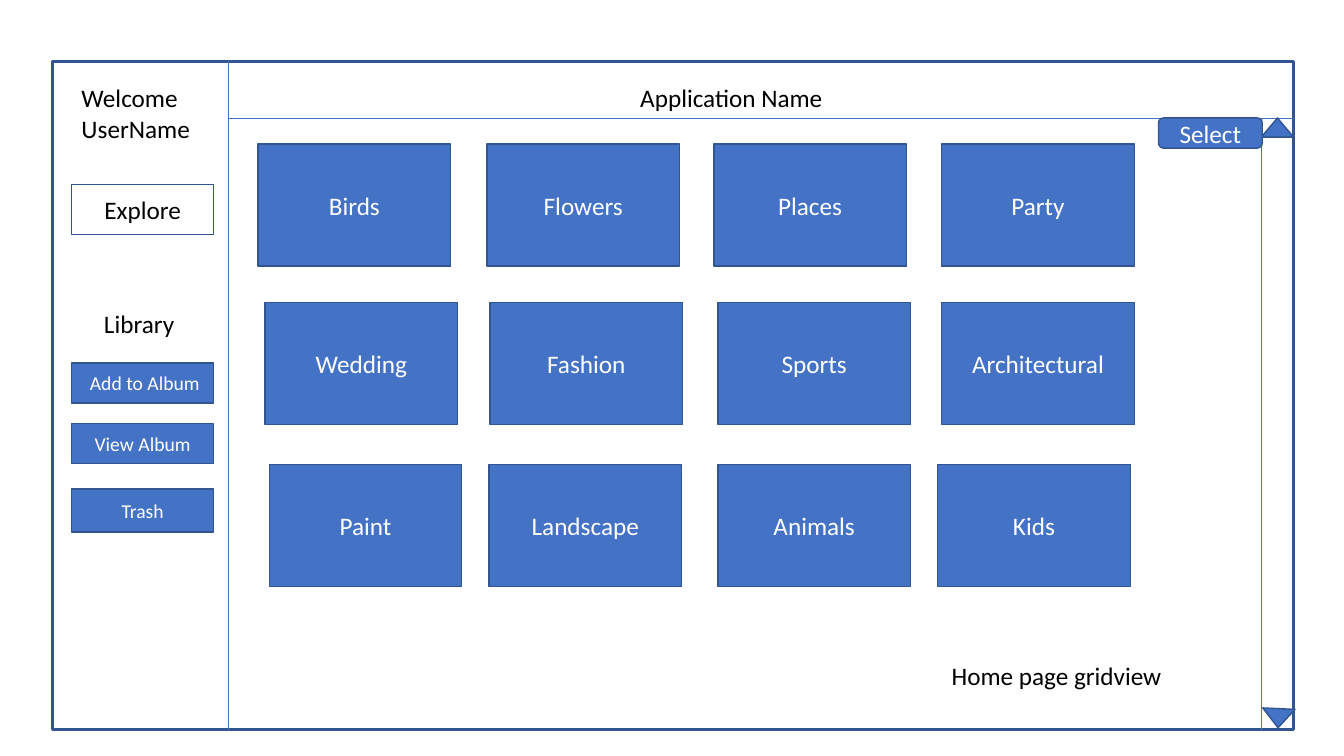
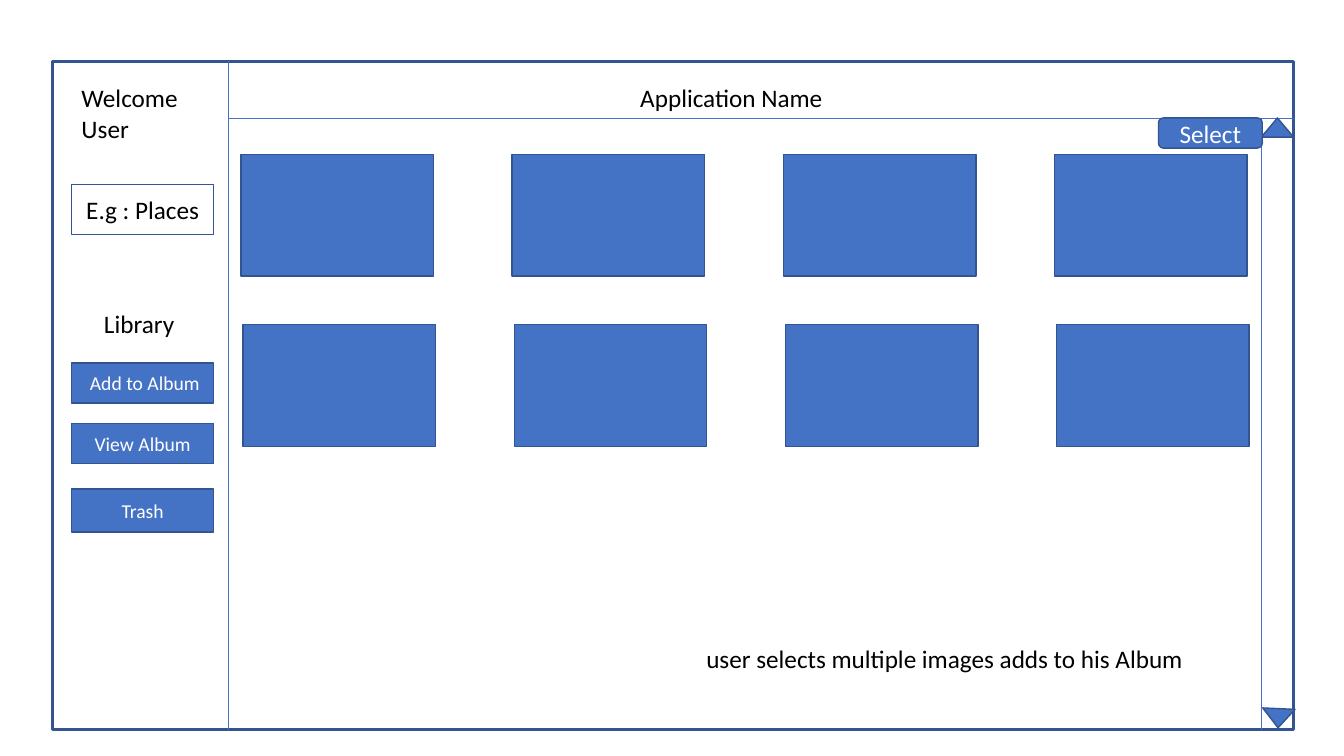
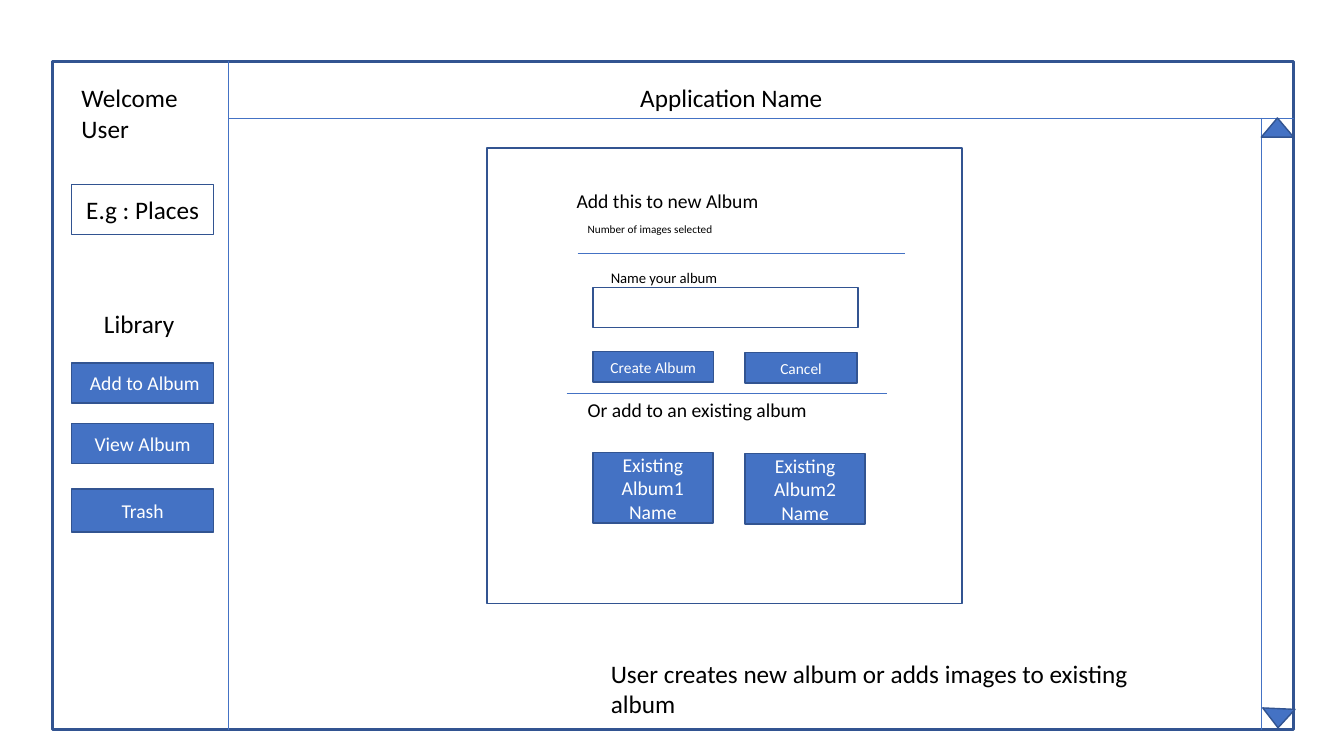
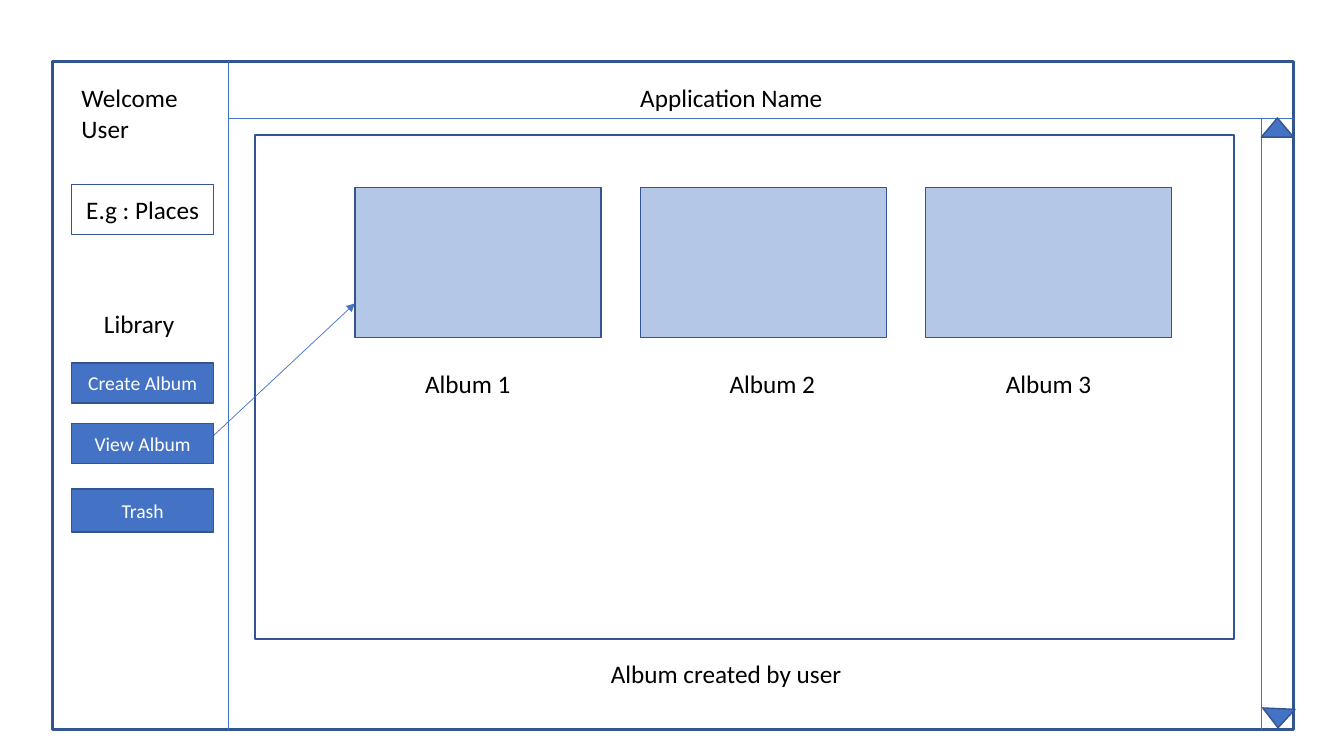
import pptx
import pptx.util
import pptx.dml.color
import pptx.enum.shapes
import pptx.enum.text
from pptx.util import Inches
from lxml import etree
import pptx.oxml.ns

BLUE = pptx.dml.color.RGBColor(0x44, 0x72, 0xC4)
NAVY = pptx.dml.color.RGBColor(0x32, 0x54, 0x91)
PALE = pptx.dml.color.RGBColor(0xB4, 0xC7, 0xE7)
WHITE = pptx.dml.color.RGBColor(0xFF, 0xFF, 0xFF)
BLACK = pptx.dml.color.RGBColor(0, 0, 0)
FONT = "Calibri"

SHAPE = pptx.enum.shapes.MSO_SHAPE
ALIGN = pptx.enum.text.PP_ALIGN
ANCHOR = pptx.enum.text.MSO_ANCHOR
FIT = pptx.enum.text.MSO_AUTO_SIZE

FRAME = (0.52, 0.61, 12.31, 6.63)
FRAME_RIGHT, FRAME_BOTTOM = 12.83, 7.24
SIDEBAR_RIGHT, HEADER_BOTTOM, SCROLL_LEFT = 2.27, 1.17, 12.51
MENU_LEFT, MENU_WIDTH = 0.71, 1.41
MENU_ROWS = [(3.6, 0.4), (4.2, 0.4), (4.85, 0.43)]
TILE_SIZE = (1.91, 1.21)

PAGES = [
    {"welcome": "Welcome UserName", "section": "Explore", "action": " Add to Album", "select": True,
     "caption": ("Home page gridview", 9.34, 6.5, 2.52, 0.4)},
    {"welcome": "Welcome User", "section": "E.g : Places", "action": " Add to Album", "select": True,
     "caption": (" user selects multiple images adds to his Album", 6.85, 6.33, 5.01, 0.4)},
    {"welcome": "Welcome User", "section": "E.g : Places", "action": " Add to Album", "select": False,
     "caption": ("User creates new album or adds images to existing album", 5.96, 6.48, 5.89, 0.71)},
    {"welcome": "Welcome User", "section": "E.g : Places", "action": "Create Album", "select": False,
     "caption": ("Album created by user", 5.96, 6.48, 5.89, 0.4)},
]

CATEGORY_ROWS = [
    (1.43, [("Birds", 2.56), ("Flowers", 4.83), ("Places", 7.08), ("Party", 9.34)]),
    (3.0, [("Wedding", 2.63), ("Fashion", 4.86), ("Sports", 7.12), ("Architectural", 9.34)]),
    (4.61, [("Paint", 2.67), ("Landscape", 4.85), ("Animals", 7.12), ("Kids", 9.3)]),
]

IMAGE_ROWS = [(2.39, 1.53), (2.41, 3.22)]
IMAGE_COLUMNS, IMAGE_PITCH = 4, 2.69

DIALOG = (4.83, 1.47, 4.71, 4.52)
NAME_FIELD = (5.88, 2.85, 2.63, 0.4)
DIALOG_RULES = [(5.73, 2.51, 8.98), (5.62, 3.9, 8.8)]
DIALOG_BUTTONS = [
    ("Create Album", (5.88, 3.49, 1.2, 0.3), 11),
    ("Cancel", (7.39, 3.5, 1.11, 0.3), 11),
    ("Existing Album1 Name", (5.88, 4.49, 1.19, 0.7), 14),
    ("Existing Album2 Name", (7.39, 4.5, 1.19, 0.7), 14),
]
DIALOG_LABELS = [
    ("Add this to new Album", (5.62, 1.83, 3.09, 0.34), 14),
    ("Number of images selected", (5.73, 2.16, 1.57, 0.24), 8),
    ("Name your album", (5.96, 2.62, 2.45, 0.29), 10.5),
    ("Or add to an existing album", (5.73, 3.9, 2.54, 0.34), 14),
]

ALBUM_PANEL = (2.53, 1.34, 9.71, 5)
ALBUMS = [("Album 1", 4.64), ("Album 2", 7.66), ("Album 3", 10.4)]
ALBUM_LEFT, ALBUM_PITCH = 3.52, 2.83


def write(frame, text, size, color, align):
    frame.word_wrap = True
    frame.text = text
    paragraph = frame.paragraphs[0]
    paragraph.alignment = align
    paragraph.font.name = FONT
    paragraph.font.size = pptx.util.Pt(size)
    paragraph.font.color.rgb = color


def add_box(slide, at, text="", size=18, fill=BLUE, color=WHITE, kind=SHAPE.RECTANGLE, weight=1):
    box = slide.shapes.add_shape(kind, *map(Inches, at))
    box.shadow.inherit = False
    if fill is None:
        box.fill.background()
    else:
        box.fill.solid()
        box.fill.fore_color.rgb = fill
    box.line.color.rgb = NAVY
    box.line.width = pptx.util.Pt(weight)
    if text:
        box.text_frame.vertical_anchor = ANCHOR.MIDDLE
        write(box.text_frame, text, size, color, ALIGN.CENTER)
    return box


def add_label(slide, text, at, size=18, align=ALIGN.LEFT):
    frame = slide.shapes.add_textbox(*map(Inches, at)).text_frame
    write(frame, text, size, BLACK, align)
    frame.auto_size = FIT.SHAPE_TO_FIT_TEXT


def add_line(slide, x1, y1, x2, y2, arrow=False):
    line = slide.shapes.add_connector(
        pptx.enum.shapes.MSO_CONNECTOR.STRAIGHT, *map(Inches, (x1, y1, x2, y2)))
    line.line.color.rgb = BLUE
    line.line.width = pptx.util.Pt(0.5)
    if arrow:
        etree.SubElement(line.line._get_or_add_ln(), pptx.oxml.ns.qn("a:tailEnd"), type="triangle")
    etree.SubElement(line._element.spPr, pptx.oxml.ns.qn("a:effectLst"))


def add_page(deck, page):
    slide = deck.slides.add_slide(deck.slide_layouts[5])
    title = slide.shapes.title
    title.left, title.top, title.width, title.height = map(Inches, (6.25, 0.77, 2.47, 0.4))
    title.text_frame.vertical_anchor = ANCHOR.TOP
    title.text_frame.auto_size = FIT.NONE
    write(title.text_frame, "Application Name", 18, BLACK, ALIGN.LEFT)

    add_box(slide, FRAME, fill=None, weight=2.25)
    add_line(slide, SIDEBAR_RIGHT, FRAME[1], SIDEBAR_RIGHT, FRAME_BOTTOM)
    add_line(slide, SIDEBAR_RIGHT, HEADER_BOTTOM, FRAME_RIGHT, HEADER_BOTTOM)
    add_line(slide, SCROLL_LEFT, HEADER_BOTTOM, SCROLL_LEFT, FRAME_BOTTOM)
    add_box(slide, (SCROLL_LEFT, HEADER_BOTTOM, 0.32, 0.19), kind=SHAPE.ISOSCELES_TRIANGLE)
    scroll_down = add_box(slide, (12.52, 7.03, 0.32, 0.19), kind=SHAPE.ISOSCELES_TRIANGLE)
    scroll_down.rotation = 182.6
    if page["select"]:
        add_box(slide, (11.49, HEADER_BOTTOM, 1.03, 0.3), "Select", kind=SHAPE.ROUNDED_RECTANGLE)

    add_label(slide, page["welcome"], (MENU_LEFT, 0.77, MENU_WIDTH, 0.71))
    add_box(slide, (MENU_LEFT, 1.83, MENU_WIDTH, 0.5), page["section"], fill=None, color=BLACK)
    add_label(slide, "Library", (MENU_LEFT, 3.01, 1.34, 0.4), align=ALIGN.CENTER)
    for text, (top, height) in zip((page["action"], "View Album", "Trash"), MENU_ROWS):
        add_box(slide, (MENU_LEFT, top, MENU_WIDTH, height), text, 14)
    caption, *at = page["caption"]
    add_label(slide, caption, at)
    return slide


def add_categories(slide):
    for top, tiles in CATEGORY_ROWS:
        for name, left in tiles:
            add_box(slide, (left, top, *TILE_SIZE), name)


def add_images(slide):
    for left, top in IMAGE_ROWS:
        for column in range(IMAGE_COLUMNS):
            add_box(slide, (left + column * IMAGE_PITCH, top, *TILE_SIZE))


def add_album_dialog(slide):
    add_box(slide, DIALOG, fill=None)
    add_box(slide, NAME_FIELD, fill=None)
    for left, y, right in DIALOG_RULES:
        add_line(slide, left, y, right, y)
    for text, at, size in DIALOG_BUTTONS:
        add_box(slide, at, text, size)
    for text, at, size in DIALOG_LABELS:
        add_label(slide, text, at, size)


def add_albums(slide):
    add_box(slide, ALBUM_PANEL, fill=None)
    for index, (name, center) in enumerate(ALBUMS):
        add_box(slide, (ALBUM_LEFT + index * ALBUM_PITCH, 1.86, 2.44, 1.49), fill=PALE)
        add_label(slide, name, (center - 0.62, 3.6, 1.24, 0.4), align=ALIGN.CENTER)
    add_line(slide, MENU_LEFT + MENU_WIDTH, 4.32, ALBUM_LEFT, 3.01, arrow=True)


def main():
    deck = pptx.Presentation()
    deck.slide_width, deck.slide_height = Inches(13.33), Inches(7.5)
    contents = (add_categories, add_images, add_album_dialog, add_albums)
    for page, add_content in zip(PAGES, contents):
        add_content(add_page(deck, page))
    deck.save("out.pptx")


if __name__ == "__main__":
    main()
